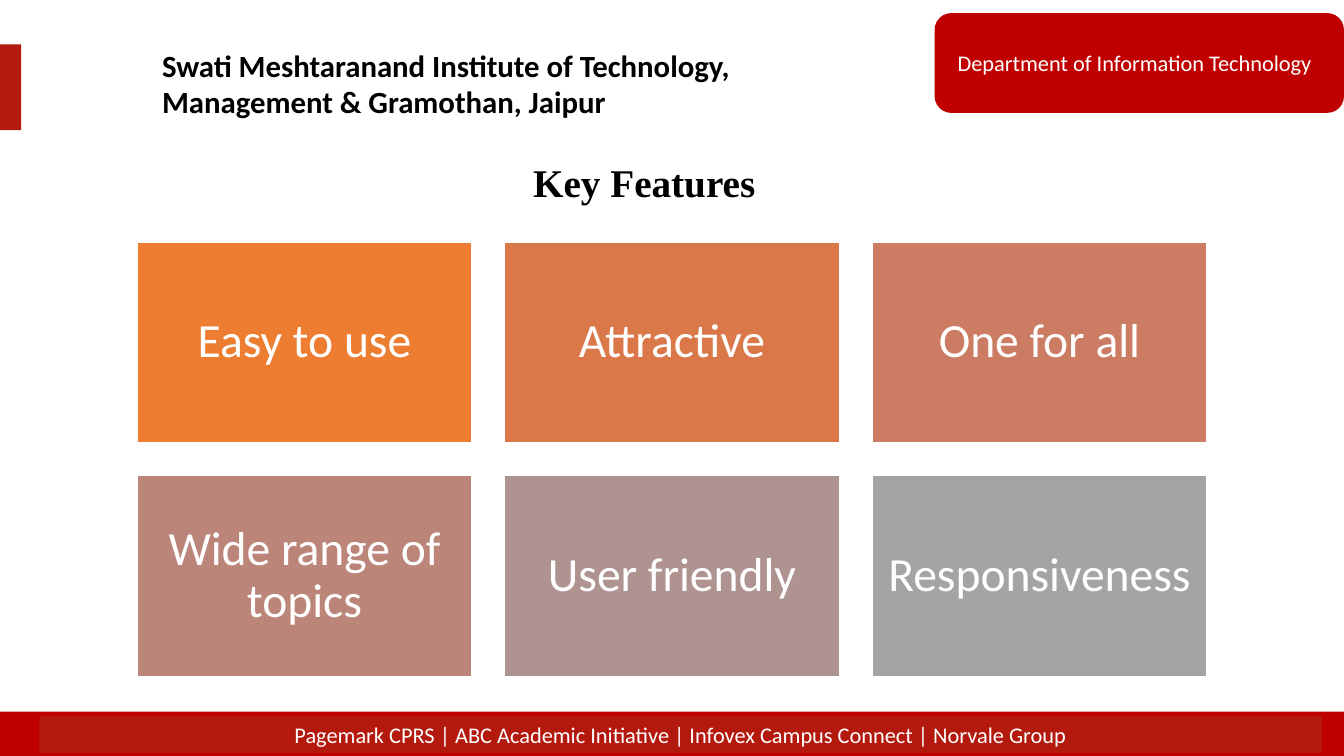
"""Build the Key Features slide with its header, six feature tiles and footer."""
from pptx import Presentation
from pptx.dml.color import RGBColor
from pptx.enum import shapes, text
from pptx.util import Inches, Pt

RED, DARK_RED, WHITE, BLACK = "C00000", "B3190D", "FFFFFF", "000000"
RECTANGLE = shapes.MSO_SHAPE.RECTANGLE
LEFT, CENTER = text.PP_ALIGN.LEFT, text.PP_ALIGN.CENTER
TOP, MIDDLE = text.MSO_ANCHOR.TOP, text.MSO_ANCHOR.MIDDLE

deck = Presentation()
deck.slide_width, deck.slide_height = Inches(13.33), Inches(7.5)
page = deck.slides.add_slide(deck.slide_layouts[5])


def add_block(left, top, width, height, fill, kind=RECTANGLE, line=None):
    block = page.shapes.add_shape(
        kind, Inches(left), Inches(top), Inches(width), Inches(height))
    block.shadow.inherit = False
    block.fill.solid()
    block.fill.fore_color.rgb = RGBColor.from_string(fill)
    if line:
        block.line.color.rgb = RGBColor.from_string(line)
        block.line.width = Pt(1)
    else:
        block.line.fill.background()
    return block


def write(box, words, size, color=WHITE, align=CENTER, anchor=MIDDLE,
          bold=False, font="Calibri", margins=(0.1, 0.05), spacing=1.0):
    frame = box.text_frame
    frame.text = words
    frame.word_wrap = True
    frame.auto_size = text.MSO_AUTO_SIZE.NONE
    frame.vertical_anchor = anchor
    frame.margin_left = frame.margin_right = Inches(margins[0])
    frame.margin_top = frame.margin_bottom = Inches(margins[1])
    for para in frame.paragraphs:
        para.alignment = align
        para.line_spacing = spacing
        para.font.name = font
        para.font.size = Pt(size)
        para.font.bold = bold
        para.font.color.rgb = RGBColor.from_string(color)


title = page.shapes.title
title.left, title.top = Inches(3.63), Inches(1.52)
title.width, title.height = Inches(5.52), Inches(0.57)
write(title, "Key Features", 28, BLACK, anchor=TOP, bold=True, font="Times New Roman")

add_block(0, 0.44, 0.21, 0.85, DARK_RED)
institute = page.shapes.add_textbox(Inches(1.51), Inches(0.41), Inches(7.5), Inches(0.84))
write(institute, "Swati Meshtaranand Institute of Technology,\nManagement & Gramothan, Jaipur",
      22, BLACK, LEFT, TOP, bold=True)

department = add_block(9.27, 0.13, 4.06, 0.99, RED, shapes.MSO_SHAPE.ROUNDED_RECTANGLE)
write(department, "Department of Information Technology", 16, align=LEFT, margins=(0.18, 0.05))

add_block(0, 7.06, 13.33, 0.44, RED)
partners = add_block(0.39, 7.1, 12.72, 0.37, DARK_RED)
write(partners, "Pagemark CPRS | ABC Academic Initiative | Infovex Campus Connect | Norvale Group", 16)

features = [
    ("Easy to use", "ED7D31"),
    ("Attractive", "DB784A"),
    ("One for all", "CB7C63"),
    ("Wide range of topics", "BC857A"),
    ("User friendly", "AF9390"),
    ("Responsiveness", "A4A4A4"),
]
for index, (feature, fill) in enumerate(features):
    row, column = divmod(index, 3)
    tile = add_block(1.36 + column * 3.645, 2.4 + row * 2.32, 3.32, 1.99, fill, line=WHITE)
    write(tile, feature, 34, margins=(0.14, 0.14), spacing=0.9)

deck.save("out.pptx")
